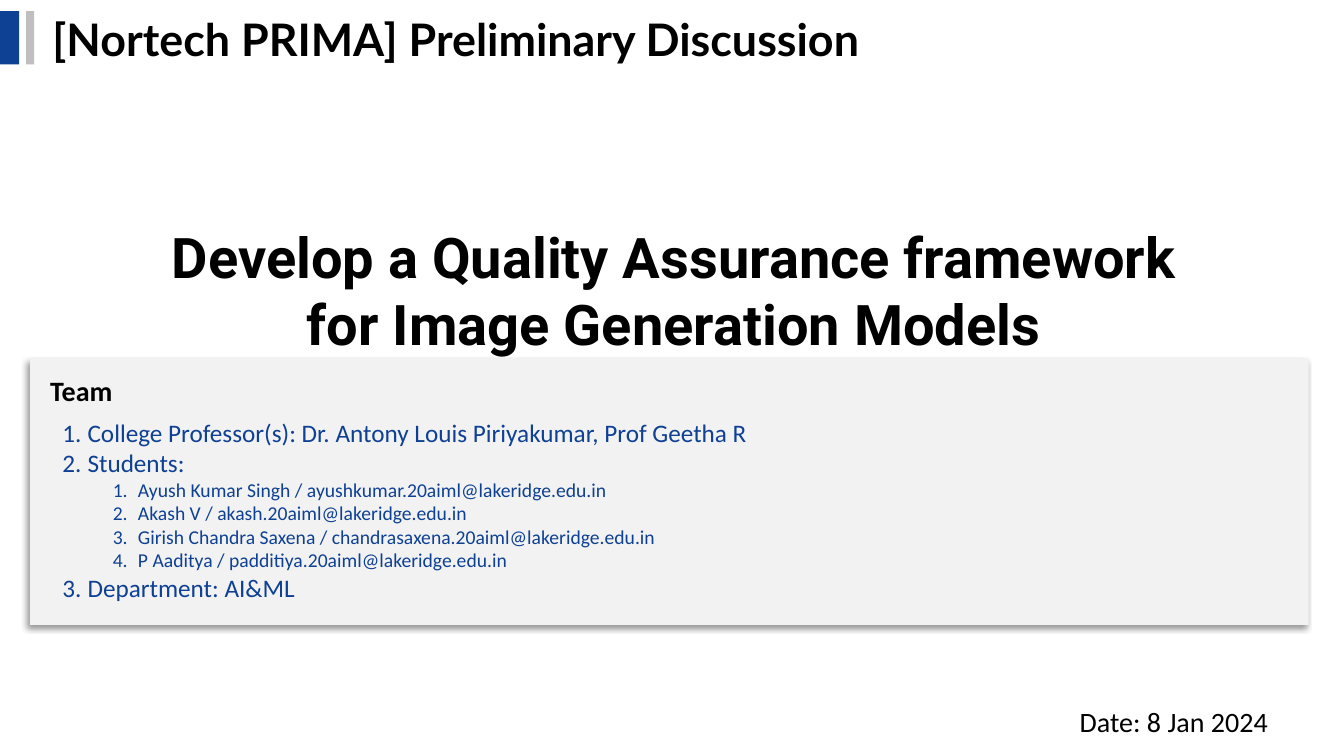
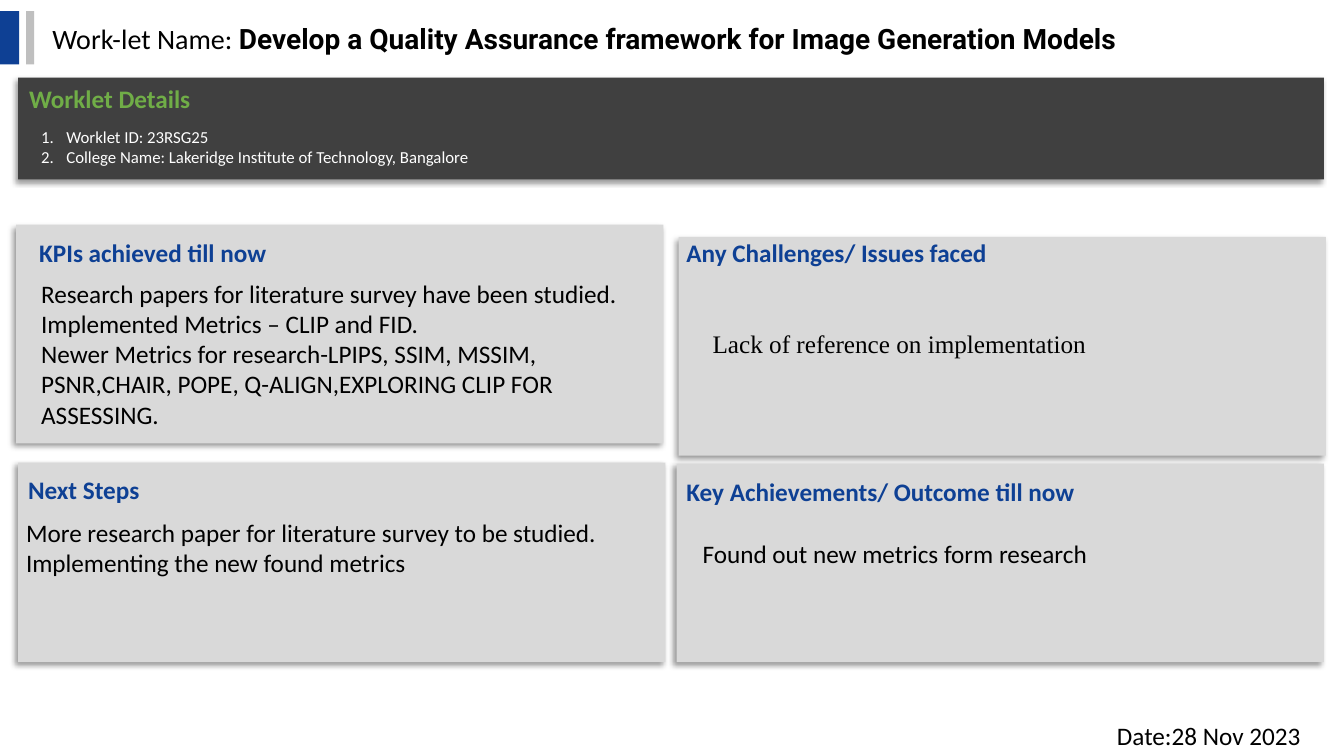
from dataclasses import dataclass
from lxml.etree import SubElement
from pptx import Presentation
from pptx.dml.color import RGBColor as RGB
from pptx.enum.shapes import MSO_SHAPE as Shape
from pptx.enum.text import MSO_ANCHOR as Anchor, MSO_AUTO_SIZE as Fit, PP_ALIGN as Align
from pptx.oxml import parse_xml
from pptx.oxml.ns import nsdecls, qn
from pptx.util import Inches, Pt


@dataclass(frozen=True)
class Theme:
    blue: str = "0E4094"
    green: str = "70AD47"
    black: str = "000000"
    white: str = "FFFFFF"
    dark: str = "404040"
    pale: str = "F2F2F2"
    grey: str = "D9D9D9"
    bar: str = "BFBFBF"
    huge: int = 40
    head: int = 32
    large: int = 20
    body: int = 18
    small: int = 14
    tiny: int = 12
    sans: str = "Calibri"
    bold: str = "Roboto"
    lato: str = "Lato"
    serif: str = "Times New Roman"


T = Theme()
SHADOW = f"""<a:effectLst {nsdecls("a")}>
  <a:outerShdw blurRad="{Pt(4)}" dist="{Pt(3)}" dir="8100000" algn="tr" rotWithShape="0">
    <a:srgbClr val="{T.black}"><a:alpha val="40000"/></a:srgbClr>
  </a:outerShdw>
</a:effectLst>"""


def block(slide, at, fill, shadow=True):
    rect = slide.shapes.add_shape(Shape.RECTANGLE, *map(Inches, at))
    rect.fill.solid()
    rect.fill.fore_color.rgb = RGB.from_string(fill)
    rect.line.fill.background()
    rect.shadow.inherit = False
    if shadow:
        props = rect._element.spPr
        props.replace(props.find(qn("a:effectLst")), parse_xml(SHADOW))


def write(box, text, size=T.body, font=T.sans, color=T.black, bold=False,
          align=Align.LEFT, level=None, join=False):
    """Append one paragraph per line; a level numbers them, join extends the last one."""
    frame = box.text_frame
    frame.word_wrap = True
    for line in text.split("\n"):
        para = frame.paragraphs[-1]
        if para.runs and not join:
            para = frame.add_paragraph()
        para.alignment = align
        if level is not None:
            para.level = level
            props = para._p.get_or_add_pPr()
            props.set("marL", str(Inches(0.25 + 0.5 * level)))
            props.set("indent", str(Inches(-0.25)))
            SubElement(props, qn("a:buFont"), typeface="+mj-lt")
            SubElement(props, qn("a:buAutoNum"), type="arabicPeriod")
        run = para.add_run()
        run.text = line
        run.font.size = Pt(size)
        run.font.name = font
        run.font.bold = bold
        run.font.color.rgb = RGB.from_string(color)


deck = Presentation()
deck.slide_width, deck.slide_height = Inches(13.33), Inches(7.5)
cover, status = [deck.slides.add_slide(deck.slide_layouts[5]) for _ in range(2)]

# Shared header
for slide in (cover, status):
    block(slide, (0, 0.11, 0.19, 0.53), T.blue, shadow=False)
    block(slide, (0.26, 0.11, 0.08, 0.53), T.bar, shadow=False)
    title = slide.shapes.title
    title.left, title.top, title.width, title.height = map(Inches, (0.42, 0.06, 11.81, 0.64))
    title.text_frame.auto_size = Fit.NONE
    title.text_frame.vertical_anchor = Anchor.MIDDLE

# Cover
topic = "Develop a Quality Assurance framework for Image Generation Models"
write(cover.shapes.title, "[Nortech PRIMA] Preliminary Discussion", size=T.head, font=T.lato, bold=True)
block(cover, (0.3, 3.56, 12.68, 2.64), T.pale)

box = cover.shapes.add_textbox(*map(Inches, (1.54, 2.15, 10.28, 1.45)))
box.text_frame.vertical_anchor = Anchor.MIDDLE
write(box, topic, size=T.huge, font=T.bold, bold=True, align=Align.CENTER)

box = cover.shapes.add_textbox(*map(Inches, (0.4, 3.66, 2, 0.44)))
write(box, "Team", size=T.large, bold=True)

team = cover.shapes.add_textbox(*map(Inches, (0.52, 4.09, 11.91, 1.95)))
write(team, "College Professor(s): Dr. Antony Louis Piriyakumar, Prof Geetha R\nStudents:",
      color=T.blue, level=0)
write(team, """Ayush Kumar Singh / ayushkumar.20aiml@lakeridge.edu.in
Akash V / akash.20aiml@lakeridge.edu.in
Girish Chandra Saxena / chandrasaxena.20aiml@lakeridge.edu.in
P Aaditya / padditiya.20aiml@lakeridge.edu.in""", size=T.small, color=T.blue, level=1)
write(team, "Department: AI&ML", color=T.blue, level=0)

# Status
write(status.shapes.title, "Work-let Name: ", size=T.large)
write(status.shapes.title, topic, size=T.large, font=T.bold, bold=True, join=True)

block(status, (0.18, 0.77, 12.95, 1.01), T.dark)
box = status.shapes.add_textbox(*map(Inches, (0.19, 0.78, 4, 0.4)))
write(box, "Worklet Details", color=T.green, bold=True)
box = status.shapes.add_textbox(*map(Inches, (0.31, 1.21, 7.59, 0.5)))
write(box, "Worklet ID: 23RSG25\nCollege Name: Lakeridge Institute of Technology, Bangalore",
      size=T.tiny, color=T.white, level=0)

# Panel frame, heading corner and text, body corner and text, body font
panels = [
    ((0.16, 2.23, 6.42, 2.17), (0.29, 2.31), "KPIs achieved till now", (0.31, 2.71),
     "Research papers for literature survey have been studied.\n"
     "Implemented Metrics – CLIP and FID.\n"
     "Newer Metrics for research-LPIPS, SSIM, MSSIM, PSNR,CHAIR, POPE, "
     "Q-ALIGN,EXPLORING CLIP FOR ASSESSING.", T.sans),
    ((6.73, 2.35, 6.42, 2.17), (6.71, 2.31), "Any Challenges/ Issues faced", (6.97, 3.21),
     "Lack of reference on implementation", T.serif),
    ((0.18, 4.59, 6.42, 1.98), (0.18, 4.66), "Next Steps", (0.16, 5.08),
     "More research paper for literature survey to be studied.\n"
     "Implementing the new found metrics", T.sans),
    ((6.71, 4.6, 6.42, 1.97), (6.71, 4.68), "Key Achievements/ Outcome till now", (6.87, 5.29),
     "Found out new metrics form research", T.sans),
]
for frame, spot, head, start, body, font in panels:
    block(status, frame, T.grey)
    box = status.shapes.add_textbox(*map(Inches, (*spot, 5, 0.4)))
    write(box, head, color=T.blue, bold=True)
    rows = body.count("\n") + 1
    box = status.shapes.add_textbox(*map(Inches, (*start, 6.26, 0.1 + 0.3 * rows)))
    write(box, body, font=font)

# Dates
for slide, at, text, size in (
    (cover, (10.61, 6.94, 2.72, 0.44), "Date: 8 Jan 2024", T.large),
    (status, (10.98, 7.1, 2.35, 0.4), "Date:28 Nov 2023", T.body),
):
    box = slide.shapes.add_textbox(*map(Inches, at))
    box.text_frame.vertical_anchor = Anchor.MIDDLE
    write(box, text, size=size)

deck.save("out.pptx")
